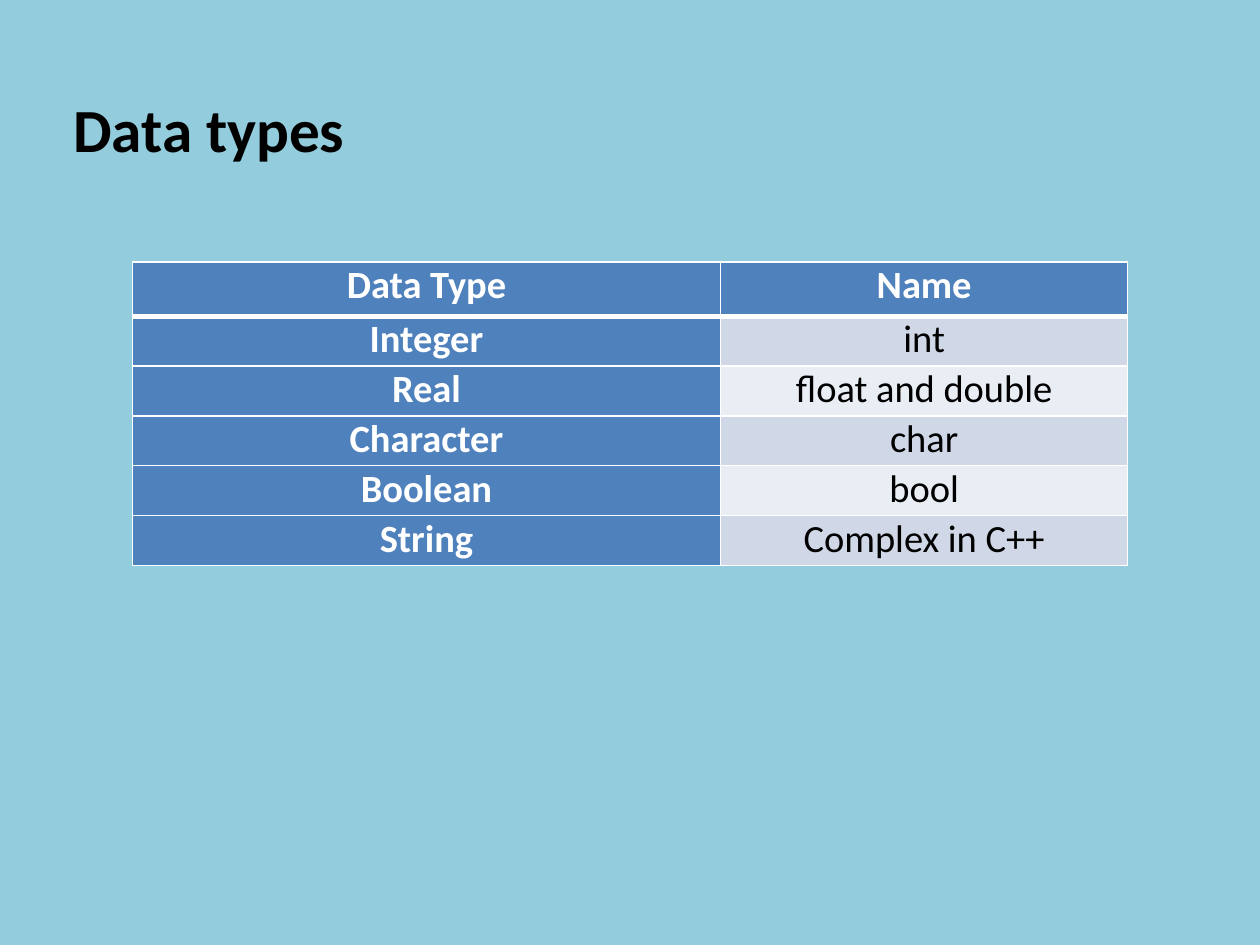
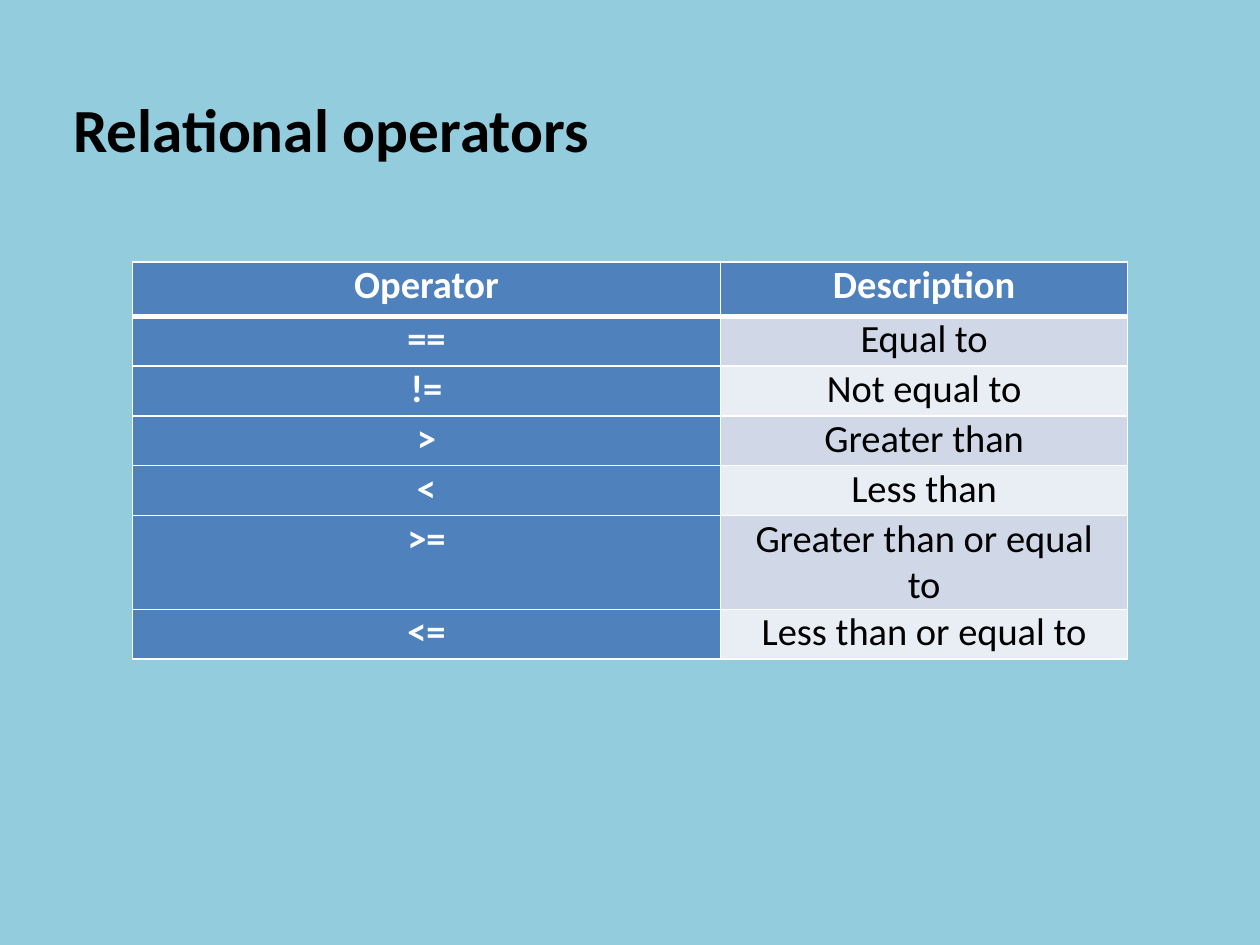
"""Build two slides that each show a titled table of C++ basics."""
from dataclasses import dataclass

from lxml.etree import SubElement
from pptx import Presentation
from pptx.dml.color import RGBColor
from pptx.enum.text import MSO_ANCHOR as Anchor, MSO_AUTO_SIZE as AutoSize, PP_ALIGN as Align
from pptx.oxml.ns import qn
from pptx.util import Inches, Pt


@dataclass(frozen=True)
class Theme:
    font: str = "Calibri"
    page: str = "93CDDD"
    ink: str = "000000"
    light: str = "FFFFFF"
    header: str = "4F81BD"
    bands: tuple = ("D0D8E8", "E9EDF4")
    title_size: int = 35
    cell_size: int = 22
    thin: int = 1
    thick: int = 3


def write(frame, text, *, font, size, color, bold=False, align=Align.LEFT):
    para = frame.paragraphs[0]
    para.alignment = align
    span = para.add_run()
    span.text = text
    span.font.name = font
    span.font.size = Pt(size)
    span.font.bold = bold
    span.font.color.rgb = RGBColor.from_string(color)


def set_margins(box, left, top, right, bottom):
    box.margin_left, box.margin_top = Inches(left), Inches(top)
    box.margin_right, box.margin_bottom = Inches(right), Inches(bottom)


class Builder:
    def __init__(self, theme):
        self.theme = theme
        self.deck = Presentation()
        self.deck.slide_width, self.deck.slide_height = Inches(10), Inches(7.5)
        self.layout = self.deck.slide_layouts.get_by_name("Title Only")
        fill = self.deck.slide_master.background.fill
        fill.solid()
        fill.fore_color.rgb = RGBColor.from_string(theme.page)
        self.slide = None

    def across(self, percent):
        return round(self.deck.slide_width * percent / 100)

    def down(self, percent):
        return round(self.deck.slide_height * percent / 100)

    def add_slide(self, title):
        self.slide = self.deck.slides.add_slide(self.layout)
        box = self.slide.shapes.title
        box.left, box.top = self.across(0.1), self.down(0.13)
        box.width, box.height = self.across(100), self.down(17.87)
        frame = box.text_frame
        frame.auto_size = AutoSize.NONE
        frame.word_wrap = True
        frame.vertical_anchor = Anchor.BOTTOM
        set_margins(frame, 0.57, 0.04, 0.07, 0.04)
        write(frame, title, font=self.theme.font, size=self.theme.title_size,
              color=self.theme.ink, bold=True)

    def add_borders(self, cell, **widths):
        properties = cell._tc.get_or_add_tcPr()
        for side in ("L", "R", "T", "B"):
            width = widths.get(side, self.theme.thin)
            line = SubElement(properties, qn(f"a:ln{side}"), w=str(Pt(width)))
            paint = SubElement(line, qn("a:solidFill"))
            SubElement(paint, qn("a:srgbClr"), val=self.theme.light)

    def add_cell(self, cell, text, row, column):
        theme = self.theme
        heading = row == 0 or column == 0
        set_margins(cell, 0.16, 0, 0.16, 0)
        edges = {0: {"B": theme.thick}, 1: {"T": theme.thick}}
        self.add_borders(cell, **edges.get(row, {}))
        cell.fill.solid()
        fill = theme.header if heading else theme.bands[(row - 1) % 2]
        cell.fill.fore_color.rgb = RGBColor.from_string(fill)
        write(cell.text_frame, text, font=theme.font, size=theme.cell_size,
              color=theme.light if heading else theme.ink,
              bold=heading, align=Align.CENTER)

    def add_table(self, records):
        widths = [self.across(share) for share in (46.7, 32.3)]
        heights = [self.down(5.73)] + [self.down(5.28)] * (len(records) - 1)
        table = self.slide.shapes.add_table(
            len(records), len(widths), self.across(10.5), self.down(27.73),
            sum(widths), sum(heights)).table
        table.horz_banding = False
        for column, width in zip(table.columns, widths):
            column.width = width
        for line, height in zip(table.rows, heights):
            line.height = height
        for row, record in enumerate(records):
            for column, text in enumerate(record):
                self.add_cell(table.cell(row, column), text, row, column)


DATA_TYPES = [
    ("Data Type", "Name"),
    ("Integer", "int"),
    ("Real", "float and double"),
    ("Character", "char"),
    ("Boolean", "bool"),
    ("String", "Complex in C++"),
]
RELATIONAL_OPERATORS = [
    ("Operator", "Description"),
    ("==", "Equal to"),
    ("!=", "Not equal to"),
    (">", "Greater than"),
    ("<", "Less than"),
    (">=", "Greater than or equal to"),
    ("<=", "Less than or equal to"),
]


def main():
    builder = Builder(Theme())
    for title, records in (("Data types", DATA_TYPES),
                           ("Relational operators", RELATIONAL_OPERATORS)):
        builder.add_slide(title)
        builder.add_table(records)
    builder.deck.save("out.pptx")


if __name__ == "__main__":
    main()
